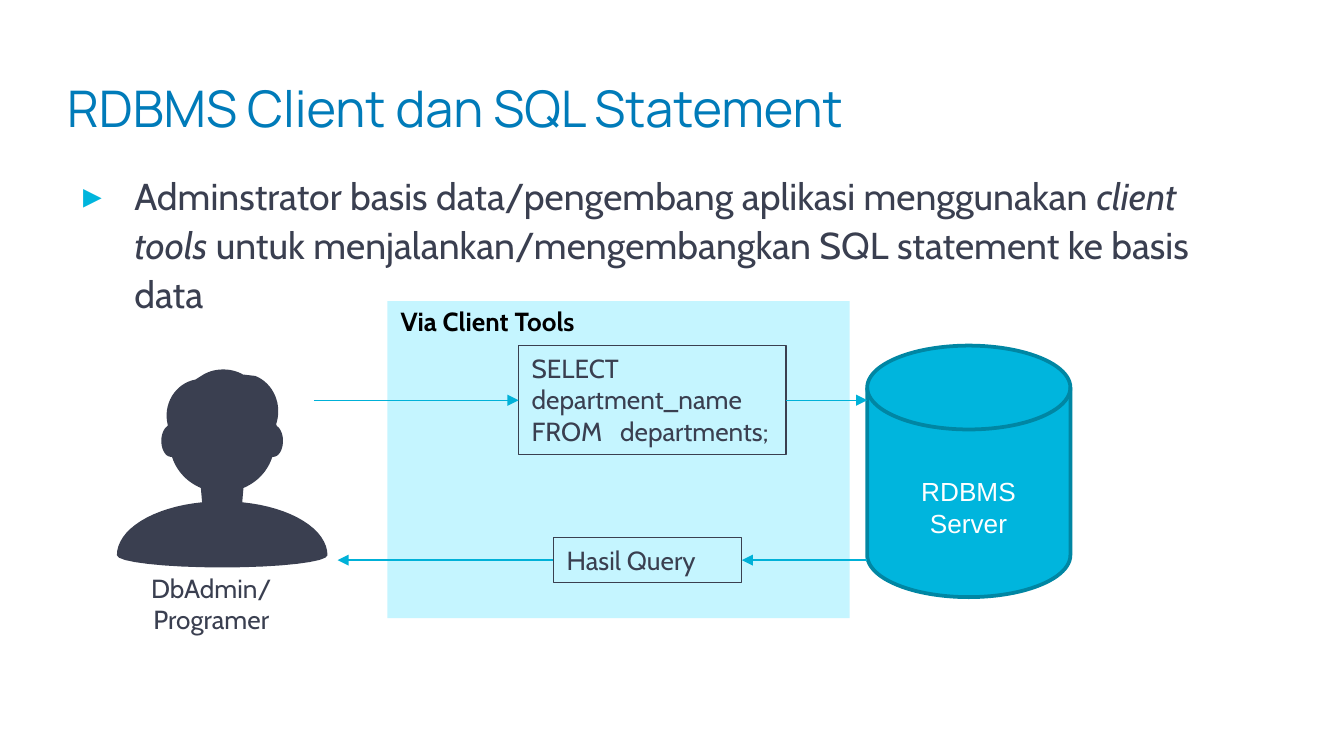
"""Build the slide on RDBMS clients and SQL statements."""
import math
import pptx
import pptx.dml.color
import pptx.enum.shapes
import pptx.enum.text
import pptx.oxml
import pptx.oxml.ns
import pptx.util
from pptx.util import Cm

INK, CYAN, ARROW = "3A3F50", "00B5DD", "00B1D8"
KINDS = pptx.enum.shapes.MSO_SHAPE
STRAIGHT = pptx.enum.shapes.MSO_CONNECTOR.STRAIGHT
ALIGN = pptx.enum.text.PP_ALIGN
ANCHOR = pptx.enum.text.MSO_ANCHOR


def color(value):
    return pptx.dml.color.RGBColor.from_string(value)


def write(box, paragraphs, font, size, ink, align=ALIGN.LEFT, anchor=ANCHOR.TOP, inset=True):
    frame = box.text_frame
    frame.word_wrap = True
    frame.vertical_anchor = anchor
    if not inset:
        frame.margin_left = frame.margin_right = frame.margin_top = frame.margin_bottom = 0
    for index, runs in enumerate(paragraphs):
        para = frame.paragraphs[0] if index == 0 else frame.add_paragraph()
        para.alignment = align
        for text, style in runs:
            span = para.add_run()
            span.text = text
            span.font.name = font
            span.font.size = pptx.util.Pt(size)
            span.font.color.rgb = color(ink)
            span.font.bold = style == "bold"
            span.font.italic = style == "italic"
    return frame.paragraphs[0]


deck = pptx.Presentation()
deck.slide_width, deck.slide_height = Cm(25.4), Cm(14.28)
page = deck.slides.add_slide(deck.slide_layouts[6])
shapes = page.shapes
namespace = pptx.oxml.ns.nsdecls("a")

panel = shapes.add_shape(KINDS.RECTANGLE, Cm(7.32), Cm(5.69), Cm(8.74), Cm(5.99))
panel.shadow.inherit = False
panel.fill.solid()
panel.fill.fore_color.rgb = color("C5F5FF")
panel.line.fill.background()

title = shapes.add_textbox(Cm(1.27), Cm(1.68), Cm(22.76), Cm(3))
para = write(title, [[("RDBMS Client dan SQL Statement", "")]], "Manrope", 27, "007BB9", inset=False)
para.line_spacing = 0.8

body = shapes.add_textbox(Cm(1.27), Cm(3.18), Cm(22.38), Cm(10))
para = write(body, [[
    ("Adminstrator basis data/pengembang aplikasi menggunakan ", ""),
    ("client tools ", "italic"),
    ("untuk menjalankan/mengembangkan SQL statement ke basis data", ""),
]], "Cabin", 20, INK, inset=False)
para.line_spacing = 1.1
para.space_before = pptx.util.Pt(6)
props = para._p.get_or_add_pPr()
props.set("marL", str(Cm(1.27)))
props.set("indent", str(Cm(-0.97)))
for bullet in (
    f'<a:buClr {namespace}><a:srgbClr val="{CYAN}"/></a:buClr>',
    f'<a:buFont {namespace} typeface="Cabin"/>',
    f'<a:buChar {namespace} char="▸"/>',
):
    props.append(pptx.oxml.parse_xml(bullet))

server = shapes.add_shape(KINDS.FLOWCHART_MAGNETIC_DISK, Cm(16.39), Cm(6.53), Cm(3.84), Cm(4.75))
server.shadow.inherit = False
server.fill.solid()
server.fill.fore_color.rgb = color(CYAN)
server.line.color.rgb = color("0086A3")
server.line.width = pptx.util.Pt(2)

query = shapes.add_shape(KINDS.RECTANGLE, Cm(9.8), Cm(6.53), Cm(5.06), Cm(2.06))
result = shapes.add_shape(KINDS.RECTANGLE, Cm(10.46), Cm(10.15), Cm(3.56), Cm(0.86))
for box, text in (
    (query, "SELECT department_name FROM   departments;"),
    (result, "Hasil Query"),
):
    box.shadow.inherit = False
    box.fill.background()
    box.line.color.rgb = color(INK)
    box.line.width = pptx.util.Pt(0.75)
    write(box, [[(text, "")]], "Cabin", 14, INK)

admin_label = shapes.add_textbox(Cm(2.33), Cm(11.14), Cm(3.33), Cm(0.53))
write(admin_label, [[("DbAdmin/", "")], [("Programer", "")]], "Cabin", 14, INK, ALIGN.CENTER, ANCHOR.MIDDLE)
server_label = shapes.add_textbox(Cm(17.1), Cm(8.86), Cm(2.41), Cm(1.45))
write(server_label, [[("RDBMS", "")], [("Server", "")]], "Arial", 14, "FFFFFF", ALIGN.CENTER)
panel_label = shapes.add_textbox(Cm(7.32), Cm(5.64), Cm(5.36), Cm(0.86))
write(panel_label, [[("Via Client Tools", "bold")]], "Cabin", 14, "000000")

axis = 4.2
crown = (4.22, 7.39, 0.58, 0.41, 50, 135)
hair_left = (3.81, 7.85, 0.66, 0.69, 100, 195)
hair_right = (4.6, 7.77, 0.66, 0.71, -20, 70)
ear = (3.23, 8.33, 0.18, 0.3, 110, 265)
jaw = (axis, 8.36, 0.99, 0.94, 197, 246)
shoulder = (axis, 10.49, 1.99, 1.02, 101, 180)
base = (axis, 10.49, 1.99, 0.23, 180, 360)
left_side = [ear, jaw, shoulder]
right_side = [
    (2 * axis - center_x, center_y, radius_x, radius_y, 180 - end, 180 - start)
    for center_x, center_y, radius_x, radius_y, start, end in reversed(left_side)
]

steps = 16
outline = []
for center_x, center_y, radius_x, radius_y, start, end in (
    [crown, hair_left] + left_side + [base] + right_side + [hair_right]
):
    for step in range(steps + 1):
        angle = math.radians(start + (end - start) * step / steps)
        outline.append((
            Cm(center_x + radius_x * math.cos(angle)),
            Cm(center_y - radius_y * math.sin(angle)),
        ))
builder = shapes.build_freeform(*outline[0])
builder.add_line_segments(outline[1:], close=True)
person = builder.convert_to_shape()
person.shadow.inherit = False
person.fill.solid()
person.fill.fore_color.rgb = color(INK)
person.line.fill.background()

for box, start, end in (
    (query, Cm(5.93), query.left),
    (query, query.left + query.width, server.left),
    (result, server.left, result.left + result.width),
    (result, result.left, Cm(6.38)),
):
    middle = box.top + box.height // 2
    arrow = shapes.add_connector(STRAIGHT, start, middle, end, middle)
    arrow.line.color.rgb = color(ARROW)
    arrow.line.width = pptx.util.Pt(0.75)
    arrow.line._get_or_add_ln().append(pptx.oxml.parse_xml(f'<a:tailEnd {namespace} type="triangle"/>'))
    arrow._element.spPr.append(pptx.oxml.parse_xml(f"<a:effectLst {namespace}/>"))

deck.save("out.pptx")
